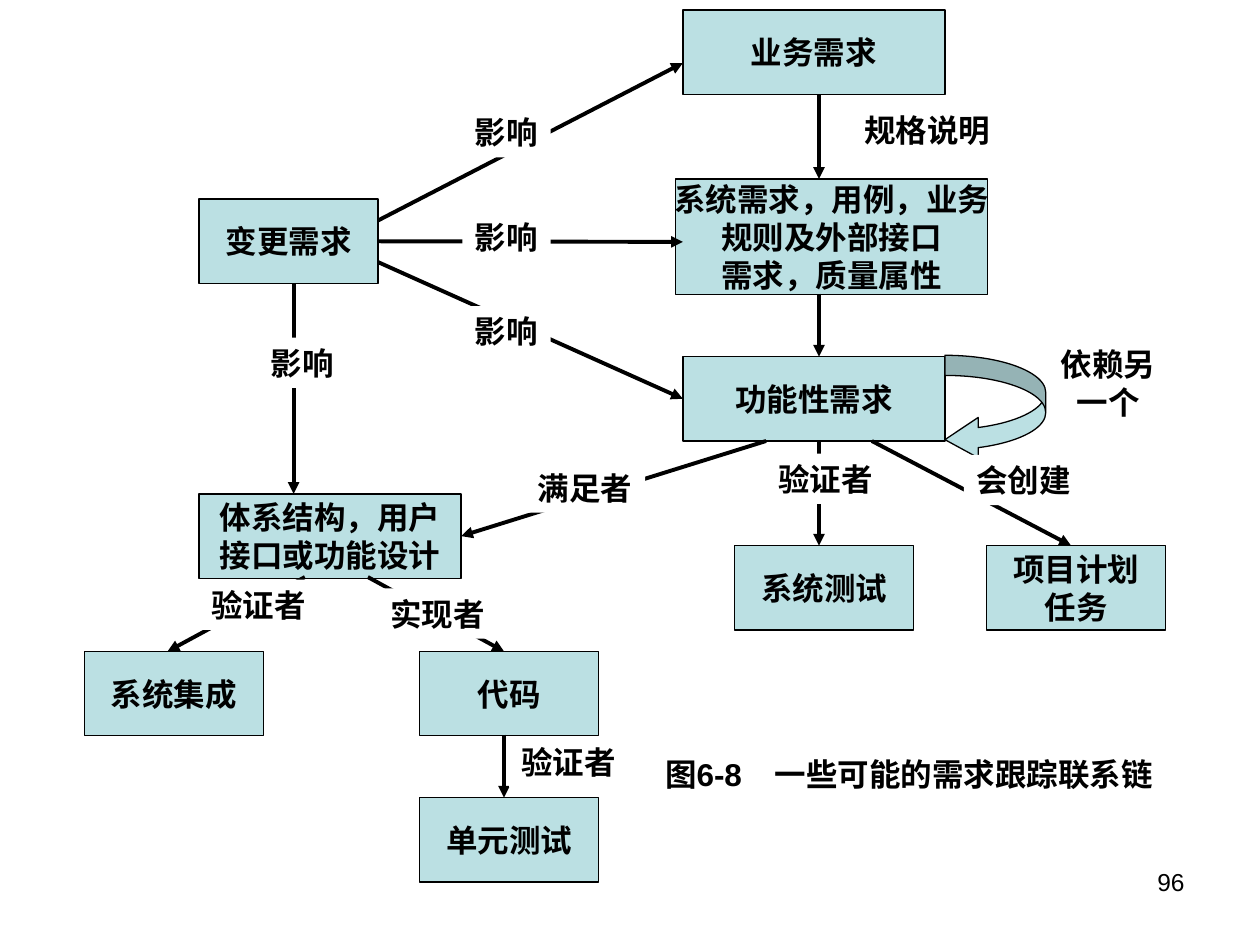
from collections import namedtuple
from dataclasses import dataclass

from lxml import etree
from pptx import Presentation
from pptx.dml.color import RGBColor
from pptx.enum.shapes import MSO_CONNECTOR, MSO_SHAPE
from pptx.enum.text import MSO_ANCHOR, MSO_AUTO_SIZE, PP_ALIGN
from pptx.oxml.ns import qn
from pptx.util import Inches, Pt

RECTANGLE = MSO_SHAPE.RECTANGLE
LOOP_ARROW = MSO_SHAPE.CURVED_LEFT_ARROW
STRAIGHT = MSO_CONNECTOR.STRAIGHT
MIDDLE = MSO_ANCHOR.MIDDLE
FIT_SHAPE = MSO_AUTO_SIZE.SHAPE_TO_FIT_TEXT
LEFT, CENTER, RIGHT = PP_ALIGN.LEFT, PP_ALIGN.CENTER, PP_ALIGN.RIGHT
LEFT_SIDE, RIGHT_SIDE = 1, 3

Box = namedtuple("Box", "left top width height")
Link = namedtuple("Link", "start end source target", defaults=(None, None))


@dataclass(frozen=True)
class Theme:
    """Colours, font and sizes of the slide."""
    node: RGBColor = RGBColor(0xBB, 0xE0, 0xE3)
    ink: RGBColor = RGBColor(0, 0, 0)
    paper: RGBColor = RGBColor(0xFF, 0xFF, 0xFF)
    font: str = "Arial"
    text_size: Pt = Pt(18)
    number_size: Pt = Pt(14)
    outline: Pt = Pt(0.75)
    arrow: Pt = Pt(2.25)


THEME = Theme()
WIDE, NARROW, NODE_HEIGHT, LABEL_HEIGHT = 2.08, 1.42, 0.67, 0.4

NODES = {
    "业务需求": (5.42, 0.08, WIDE, NODE_HEIGHT),
    "系统需求，用例，业务\n规则及外部接口\n需求，质量属性": (5.36, 1.42, 2.48, 0.92),
    "功能性需求": (5.42, 2.83, WIDE, NODE_HEIGHT),
    "系统测试": (5.83, 4.33, NARROW, NODE_HEIGHT),
    "项目计划\n任务": (7.83, 4.33, NARROW, NODE_HEIGHT),
    "体系结构，用户\n接口或功能设计": (1.58, 3.92, WIDE, NODE_HEIGHT),
    "系统集成": (0.67, 5.17, NARROW, NODE_HEIGHT),
    "代码": (3.33, 5.17, NARROW, NODE_HEIGHT),
    "单元测试": (3.33, 6.33, NARROW, NODE_HEIGHT),
    "变更需求": (1.58, 1.58, NARROW, NODE_HEIGHT),
}

LINKS = [
    Link((6.5, 0.75), (6.5, 1.42)),
    Link((6.5, 2.33), (6.5, 2.83)),
    Link((6.5, 3.5), (6.5, 4.33)),
    Link((6.92, 3.5), (8.5, 4.33)),
    Link((6.08, 3.5), (3.67, 4.25), target=("体系结构，用户\n接口或功能设计", RIGHT_SIDE)),
    Link((2.42, 4.58), (1.33, 5.17)),
    Link((2.92, 4.58), (4, 5.17)),
    Link((4, 5.83), (4, 6.33)),
    Link((3, 1.92), (5.42, 1.92), source=("变更需求", RIGHT_SIDE)),
    Link((3, 2.08), (5.42, 3.17), target=("功能性需求", LEFT_SIDE)),
    Link((3, 1.75), (5.42, 0.5)),
    Link((2.33, 2.25), (2.33, 3.92)),
]

LABELS = [
    ("会创建", 7.65, 3.61),
    ("验证者", 6.08, 3.6),
    ("满足者", 4.17, 3.67),
    ("影响", 3.67, 0.85),
    ("影响", 3.67, 1.68),
    ("影响", 3.67, 2.43),
    ("影响", 2.05, 2.68),
    ("验证者", 1.58, 4.6),
    ("实现者", 3, 4.67),
    ("验证者", 4.04, 5.85),
    ("规格说明", 6.76, 0.83),
]


def inside(frame, left, top, width, height):
    """Return a box whose corner is measured from that of the frame."""
    return Box(frame.left + left, frame.top + top, width, height)


def write(shape, text, alignment, size=THEME.text_size, bold=True):
    """Put text into a shape and format its runs."""
    frame = shape.text_frame
    frame.text = text
    frame.word_wrap = False
    for paragraph in frame.paragraphs:
        paragraph.alignment = alignment
        for run in paragraph.runs:
            run.font.name = THEME.font
            run.font.size = size
            run.font.bold = bold
            run.font.color.rgb = THEME.ink


def add_filled_shape(slide, box, kind):
    """Add an outlined preset shape in the node colour."""
    shape = slide.shapes.add_shape(kind, *map(Inches, box))
    shape.shadow.inherit = False
    shape.fill.solid()
    shape.fill.fore_color.rgb = THEME.node
    shape.line.color.rgb = THEME.ink
    shape.line.width = THEME.outline
    return shape


def add_node(slide, box, text):
    """Add one named box of the diagram."""
    node = add_filled_shape(slide, box, RECTANGLE)
    write(node, text, CENTER)
    node.text_frame.vertical_anchor = MIDDLE
    return node


def add_loop(slide, box):
    """Add the arrow that turns back to its own node."""
    loop = add_filled_shape(slide, box, LOOP_ARROW)
    for index, value in enumerate((0.2, 0.4, 0.33)):
        loop.adjustments[index] = value


def add_link(slide, frame, link, nodes):
    """Add an arrow and join it to the nodes it names."""
    ends = [Inches(origin + offset) for point in (link.start, link.end)
            for origin, offset in zip((frame.left, frame.top), point)]
    connector = slide.shapes.add_connector(STRAIGHT, *ends)
    if link.source:
        name, side = link.source
        connector.begin_connect(nodes[name], side)
    if link.target:
        name, side = link.target
        connector.end_connect(nodes[name], side)
    connector.line.color.rgb = THEME.ink
    connector.line.width = THEME.arrow
    etree.SubElement(connector.line._get_or_add_ln(), qn("a:tailEnd"), type="triangle")
    etree.SubElement(connector._element.spPr, qn("a:effectLst"))


def add_text(slide, box, text, alignment=LEFT):
    """Add bold text in a box that fits it."""
    text_box = slide.shapes.add_textbox(*map(Inches, box))
    write(text_box, text, alignment)
    text_box.text_frame.auto_size = FIT_SHAPE
    return text_box


def add_label(slide, box, text):
    """Add a link label that hides the line behind it."""
    label = add_text(slide, box, text)
    label.fill.solid()
    label.fill.fore_color.rgb = THEME.paper


def add_diagram(slide, frame):
    """Place nodes, arrows and labels of the traceability chain."""
    nodes = {text: add_node(slide, inside(frame, *place), text)
             for text, place in NODES.items()}
    add_loop(slide, inside(frame, 7.5, 2.82, 0.8, 0.83))
    for link in LINKS:
        add_link(slide, frame, link, nodes)
    for text, left, top in LABELS:
        width = 0.2 + 0.25 * len(text)
        add_label(slide, inside(frame, left, top, width, LABEL_HEIGHT), text)
    add_text(slide, inside(frame, 8.32, 2.69, 0.95, 0.7), "依赖另\n一个", CENTER)


def add_caption(slide, box):
    """Add the figure caption with a tab after its number."""
    caption = add_text(slide, box, "图6-8\t一些可能的需求跟踪联系链")
    properties = caption.text_frame.paragraphs[0]._p.get_or_add_pPr()
    tabs = etree.SubElement(properties, qn("a:tabLst"))
    etree.SubElement(tabs, qn("a:tab"), pos=str(Inches(0.87)), algn="l")


def add_page_number(slide, box):
    """Add the page number at the right of its box."""
    number = slide.shapes.add_textbox(*map(Inches, box))
    write(number, "96", RIGHT, THEME.number_size, bold=False)
    number.text_frame.word_wrap = True


def main():
    """Build the slide and save it."""
    presentation = Presentation()
    presentation.slide_width, presentation.slide_height = Inches(10), Inches(7.5)
    slide = presentation.slides.add_slide(presentation.slide_layouts[6])
    add_diagram(slide, Box(0, 0, 10, 7.5))
    add_caption(slide, Box(5.18, 5.94, 4.07, LABEL_HEIGHT))
    add_page_number(slide, Box(7.17, 6.83, 2.33, 0.52))
    presentation.save("out.pptx")


if __name__ == "__main__":
    main()
